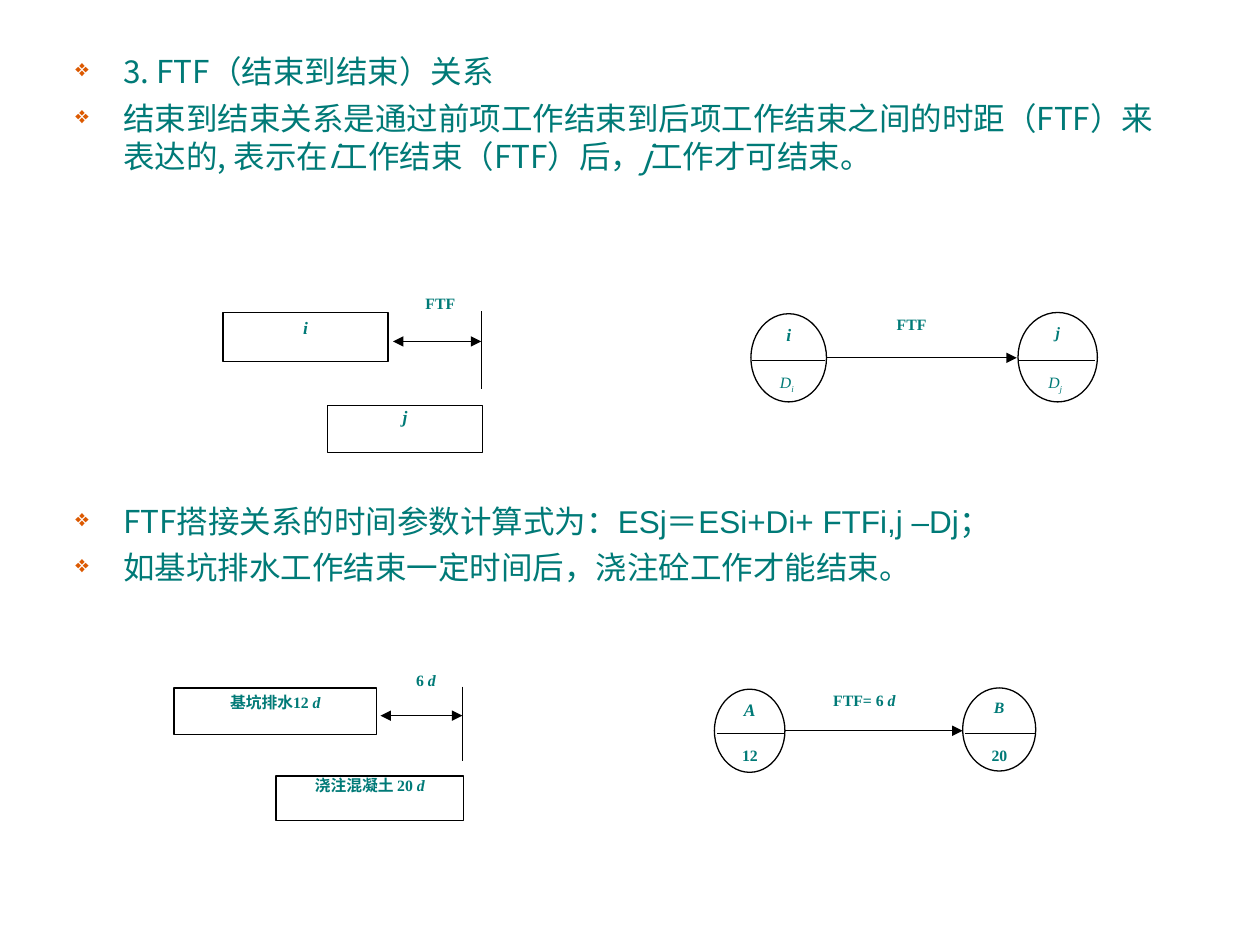
from dataclasses import dataclass
from typing import NamedTuple

from lxml import etree
from pptx import Presentation
from pptx.dml.color import RGBColor
from pptx.enum.shapes import MSO_CONNECTOR, MSO_SHAPE
from pptx.enum.text import MSO_ANCHOR, PP_ALIGN
from pptx.oxml.ns import qn
from pptx.util import Inches, Pt

STRAIGHT = MSO_CONNECTOR.STRAIGHT
RECTANGLE, OVAL = MSO_SHAPE.RECTANGLE, MSO_SHAPE.OVAL
TOP = MSO_ANCHOR.TOP
LEFT, CENTER, JUSTIFY = PP_ALIGN.LEFT, PP_ALIGN.CENTER, PP_ALIGN.JUSTIFY

COLORS = {"text": "007A77", "bullet": "DC5900", "line": "000000", "fill": "FFFFFF"}
BODY_FONT, FORMULA_FONT, DIAGRAM_FONT = "Noto Sans CJK SC", "Arial", "Times New Roman"
BULLET_INDENT = 0.38


class Piece(NamedTuple):
    text: str
    italic: bool = False
    bold: bool = True
    subscript: bool = False
    font: str = DIAGRAM_FONT


class Box(NamedTuple):
    left: float
    top: float
    width: float
    height: float


@dataclass
class Bar:
    box: Box
    pieces: list[Piece]
    size: int
    top_inset: float


@dataclass
class Node:
    box: Box
    name: str
    size: int
    divider: tuple[float, float, float]
    duration_box: Box
    duration: list[Piece]


@dataclass
class Label:
    box: Box
    pieces: list[Piece]


@dataclass
class Line:
    x1: float
    y1: float
    x2: float
    y2: float
    head: bool = False
    tail: bool = False


@dataclass
class Diagram:
    bars: list[Bar]
    nodes: list[Node]
    labels: list[Label]
    lines: list[Line]


def body(text: str, italic: bool = False, font: str = BODY_FONT) -> Piece:
    return Piece(text, italic, False, font=font)


def write_pieces(paragraph, pieces: list[Piece], size: int) -> None:
    for piece in pieces:
        run = paragraph.add_run()
        run.text = piece.text
        font = run.font
        font.name, font.size = piece.font, Pt(size)
        font.bold, font.italic = piece.bold, piece.italic
        font.color.rgb = RGBColor.from_string(COLORS["text"])
        properties = run._r.get_or_add_rPr()
        if piece.font != DIAGRAM_FONT:
            etree.SubElement(properties, qn("a:ea"), typeface=BODY_FONT)
        if piece.subscript:
            properties.set("baseline", "-25000")


def prepare_frame(shape, insets: tuple[float, float, float, float]):
    frame = shape.text_frame
    frame.word_wrap = True
    frame.vertical_anchor = TOP
    (frame.margin_left, frame.margin_top,
     frame.margin_right, frame.margin_bottom) = map(Inches, insets)
    return frame


def add_caption(shapes, box: Box, pieces: list[Piece], align=CENTER, top_inset: float = 0) -> None:
    caption = shapes.add_textbox(*map(Inches, box))
    paragraph = prepare_frame(caption, (0, top_inset, 0, 0)).paragraphs[0]
    paragraph.alignment = align
    write_pieces(paragraph, pieces, 9)


def add_outline(shapes, kind, box: Box, pieces: list[Piece], size: int,
                insets: tuple[float, float, float, float], spacing: float) -> None:
    outline = shapes.add_shape(kind, *map(Inches, box))
    outline.shadow.inherit = False
    if kind == RECTANGLE:
        outline.fill.solid()
        outline.fill.fore_color.rgb = RGBColor.from_string(COLORS["fill"])
    else:
        outline.fill.background()
    outline.line.color.rgb = RGBColor.from_string(COLORS["line"])
    outline.line.width = Pt(0.75)
    paragraph = prepare_frame(outline, insets).paragraphs[0]
    paragraph.alignment = CENTER
    paragraph.line_spacing = spacing
    write_pieces(paragraph, pieces, size)


def add_line(shapes, line: Line) -> None:
    connector = shapes.add_connector(
        STRAIGHT, *map(Inches, (line.x1, line.y1, line.x2, line.y2)))
    connector.line.color.rgb = RGBColor.from_string(COLORS["line"])
    connector.line.width = Pt(0.75)
    stroke = connector.line._get_or_add_ln()
    for tag, wanted in (("a:headEnd", line.head), ("a:tailEnd", line.tail)):
        if wanted:
            etree.SubElement(stroke, qn(tag), type="triangle")
    etree.SubElement(connector._element.spPr, qn("a:effectLst"))


def add_diagram(slide, diagram: Diagram) -> None:
    shapes = slide.shapes.add_group_shape().shapes
    for bar in diagram.bars:
        add_outline(shapes, RECTANGLE, bar.box, bar.pieces, bar.size,
                    (0.1, bar.top_inset, 0.1, 0.01), 0.96)
    for node in diagram.nodes:
        add_outline(shapes, OVAL, node.box, [Piece(node.name, True)], node.size,
                    (0, 0.01, 0, 0.01), 0.8)
        start, end, height = node.divider
        add_line(shapes, Line(start, height, end, height))
        add_caption(shapes, node.duration_box, node.duration, JUSTIFY, 0.14)
    for line in diagram.lines:
        add_line(shapes, line)
    for label in diagram.labels:
        add_caption(shapes, label.box, label.pieces)


def add_bullets(slide, box: Box, bullets: list[list[Piece]]) -> None:
    frame = prepare_frame(slide.shapes.add_textbox(*map(Inches, box)), (0.1, 0.05, 0.1, 0.05))
    for index, pieces in enumerate(bullets):
        paragraph = frame.add_paragraph() if index else frame.paragraphs[0]
        properties = paragraph._p.get_or_add_pPr()
        properties.set("marL", str(Inches(BULLET_INDENT)))
        properties.set("indent", str(-Inches(BULLET_INDENT)))
        color = etree.SubElement(properties, qn("a:buClr"))
        etree.SubElement(color, qn("a:srgbClr"), val=COLORS["bullet"])
        etree.SubElement(properties, qn("a:buSzPct"), val="75000")
        etree.SubElement(properties, qn("a:buChar"), char="❖")
        paragraph.alignment = LEFT
        paragraph.line_spacing = Pt(22)
        if index:
            paragraph.space_before = Pt(4.5)
        write_pieces(paragraph, pieces, 18)


DEFINITION = [
    [body("3. FTF（结束到结束）关系")],
    [body("结束到结束关系是通过前项工作结束到后项工作结束之间的时距（FTF）来表达的, 表示在"),
     body("i", True), body("工作结束（FTF）后，"), body("j", True), body("工作才可结束。")],
]
CALCULATION = [
    [body("FTF搭接关系的时间参数计算式为："),
     body("ESj＝ESi+Di+ FTFi,j –Dj；", font=FORMULA_FONT)],
    [body("如基坑排水工作结束一定时间后，浇注砼工作才能结束。")],
]
DAYS = Piece("d", True)
GENERAL = Diagram(
    bars=[Bar(Box(1.77, 2.48, 1.31, 0.39), [Piece("i", True)], 10, 0.05),
          Bar(Box(2.6, 3.22, 1.23, 0.37), [Piece("j", True)], 10, 0.01)],
    nodes=[Node(Box(5.96, 2.49, 0.6, 0.7), "i", 10, (5.97, 6.55, 2.86),
                Box(6.19, 2.82, 0.24, 0.36),
                [Piece("D", True, False), Piece("i", True, False, True)]),
           Node(Box(8.08, 2.48, 0.63, 0.71), "j", 9, (8.09, 8.69, 2.86),
                Box(8.32, 2.82, 0.24, 0.36),
                [Piece("D", True, False), Piece("j", True, False, True)])],
    labels=[Label(Box(3.11, 2.33, 0.77, 0.33), [Piece("FTF")]),
            Label(Box(6.85, 2.5, 0.77, 0.33), [Piece("FTF")])],
    lines=[Line(3.82, 2.47, 3.82, 3.09), Line(3.12, 2.71, 3.82, 2.71, True, True),
           Line(6.56, 2.84, 8.07, 2.84, tail=True)],
)
EXAMPLE = Diagram(
    bars=[Bar(Box(1.38, 5.46, 1.61, 0.37), [Piece("基坑排水12 "), DAYS], 9, 0.05),
          Bar(Box(2.19, 6.16, 1.49, 0.35), [Piece("浇注混凝土 20 "), DAYS], 9, 0.01)],
    nodes=[Node(Box(5.67, 5.47, 0.56, 0.66), "A", 10, (5.69, 6.22, 5.82),
                Box(5.89, 5.78, 0.23, 0.34), [Piece("12")]),
           Node(Box(7.64, 5.46, 0.58, 0.66), "B", 9, (7.66, 8.22, 5.82),
                Box(7.87, 5.78, 0.23, 0.34), [Piece("20")])],
    labels=[Label(Box(3.02, 5.32, 0.72, 0.31), [Piece("6 "), DAYS]),
            Label(Box(6.5, 5.48, 0.72, 0.31), [Piece("FTF= 6 "), DAYS])],
    lines=[Line(3.67, 5.45, 3.67, 6.04), Line(3.02, 5.68, 3.67, 5.68, True, True),
           Line(6.23, 5.8, 7.64, 5.8, tail=True)],
)

presentation = Presentation()
presentation.slide_width, presentation.slide_height = Inches(10), Inches(7.5)
ftf_slide = presentation.slides.add_slide(presentation.slide_layouts[6])
add_bullets(ftf_slide, Box(0.5, 0.36, 9, 1.1), DEFINITION)
add_bullets(ftf_slide, Box(0.5, 3.93, 9, 0.8), CALCULATION)
for overlap in (GENERAL, EXAMPLE):
    add_diagram(ftf_slide, overlap)
presentation.save("out.pptx")
